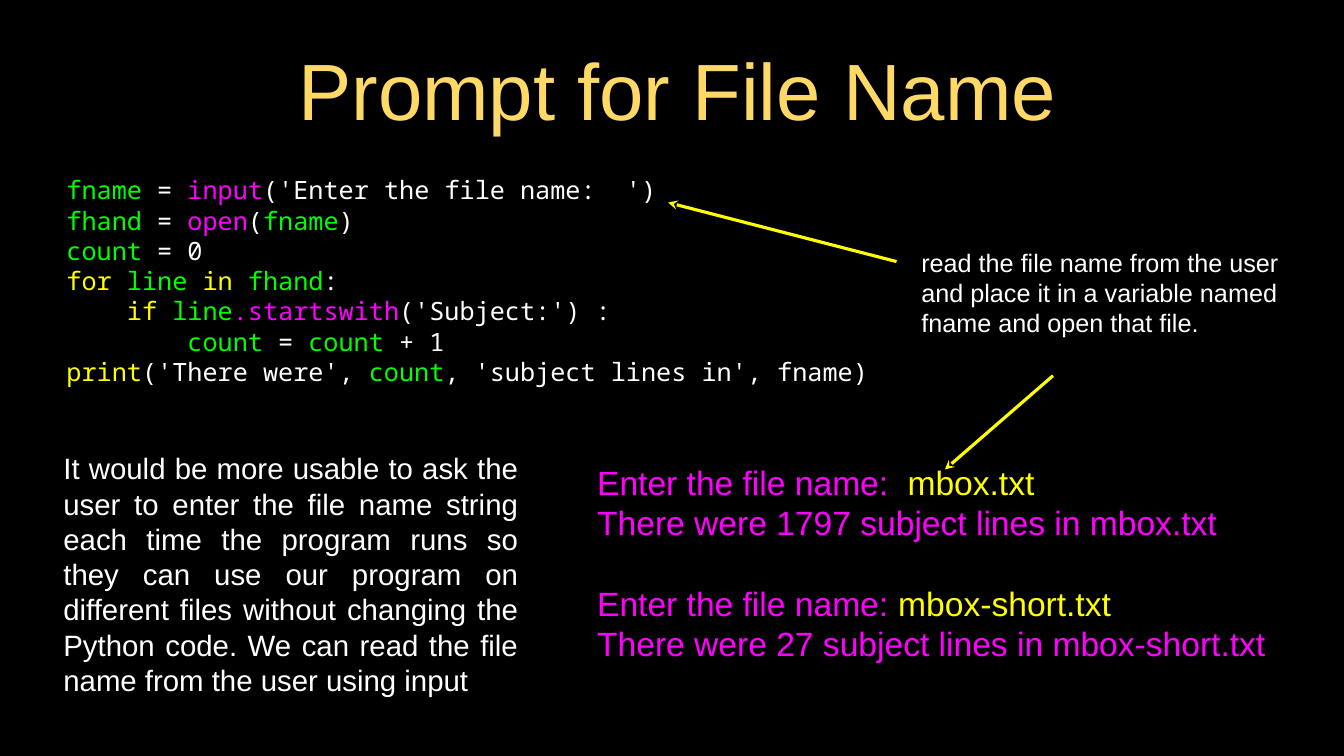
from typing import NamedTuple

from lxml import etree
from pptx import Presentation
from pptx.dml.color import RGBColor
from pptx.enum.shapes import MSO_CONNECTOR
from pptx.enum.text import MSO_ANCHOR, PP_ALIGN
from pptx.oxml.ns import qn
from pptx.util import Inches, Pt

LEFT, CENTER, JUSTIFY = PP_ALIGN.LEFT, PP_ALIGN.CENTER, PP_ALIGN.JUSTIFY
TOP, MIDDLE = MSO_ANCHOR.TOP, MSO_ANCHOR.MIDDLE
STRAIGHT = MSO_CONNECTOR.STRAIGHT

BLACK = RGBColor(0, 0, 0)
WHITE = RGBColor(255, 255, 255)
GOLD = RGBColor(255, 217, 102)
GREEN = RGBColor(0, 255, 0)
PINK = RGBColor(255, 0, 255)
YELLOW = RGBColor(255, 255, 0)

SANS, MONO = "Arial", "Noto Sans Mono"
LEADING = 1.2


class Run(NamedTuple):
    text: str
    color: RGBColor


class Block(NamedTuple):
    box: tuple[float, float, float, float]
    size: int
    lines: list[list[Run]]
    font: str = SANS
    align: PP_ALIGN = LEFT
    anchor: MSO_ANCHOR = MIDDLE
    pad: tuple[float, float] = (0, 0)  # sides, top and bottom
    gaps: tuple[int, ...] = ()  # lines with one line of space before


class Arrow(NamedTuple):
    tip: tuple[float, float]
    tail: tuple[float, float]


TITLE = [[Run("Prompt for File Name", GOLD)]]

CODE = [
    [Run("fname ", GREEN), Run("= ", WHITE), Run("input", PINK),
     Run("('Enter the file name:  ')", WHITE)],
    [Run("fhand", GREEN), Run(" = ", WHITE), Run("open", PINK),
     Run("(", WHITE), Run("fname", GREEN), Run(")", WHITE)],
    [Run("count", GREEN), Run(" = 0", WHITE)],
    [Run("for ", YELLOW), Run("line ", GREEN), Run("in ", YELLOW),
     Run("fhand", GREEN), Run(":", WHITE)],
    [Run("    if ", YELLOW), Run("line", GREEN), Run(".startswith", PINK),
     Run("('Subject:') :", WHITE)],
    [Run("        count", GREEN), Run(" = ", WHITE), Run("count", GREEN),
     Run(" + 1", WHITE)],
    [Run("print", YELLOW), Run("('There were', ", WHITE), Run("count", GREEN),
     Run(", 'subject lines in', fname)", WHITE)],
]

OUTPUT = [
    [Run("Enter the file name:  ", PINK), Run("mbox.txt", YELLOW)],
    [Run("There were 1797 subject lines in mbox.txt", PINK)],
    [Run("Enter the file name: ", PINK), Run("mbox-short.txt", YELLOW)],
    [Run("There were 27 subject lines in mbox-short.txt", PINK)],
]

REASON = [[Run(
    "It would be more usable to ask the user to enter the file name string "
    "each time the program runs so they can use our program on different "
    "files without changing the Python code. We can read the file name from "
    "the user using input", WHITE)]]

NOTE = [[Run(
    "read the file name from the user and place it in a variable named "
    "fname and open that file.", WHITE)]]

BLOCKS = [
    Block((1.56, 0.22, 14.8, 1.91), 76, TITLE, align=CENTER, pad=(0.04, 0.04)),
    Block((0.88, 1.85, 11.14, 3.72), 24, CODE, font=MONO),
    Block((7.9, 5.77, 9.45, 3.34), 32, OUTPUT, gaps=(2,)),
    Block((0.74, 5.91, 6.21, 3.4), 28, REASON, align=JUSTIFY, anchor=TOP,
          pad=(0.1, 0.05)),
    Block((12.09, 3.22, 5.09, 1.31), 24, NOTE, anchor=TOP, pad=(0.1, 0.05)),
]

ARROWS = [
    Arrow((12.5, 6.21), (13.93, 4.97)),
    Arrow((8.84, 2.68), (11.86, 3.46)),
]


def draw_block(slide, block: Block) -> None:
    frame = slide.shapes.add_textbox(*map(Inches, block.box)).text_frame
    side, edge = map(Inches, block.pad)
    style = {
        "word_wrap": True, "vertical_anchor": block.anchor,
        "margin_left": side, "margin_right": side,
        "margin_top": edge, "margin_bottom": edge,
    }
    for name, value in style.items():
        setattr(frame, name, value)

    pitch = Pt(block.size * LEADING)
    for row, line in enumerate(block.lines):
        para = frame.add_paragraph() if row else frame.paragraphs[0]
        para.alignment = block.align
        para.line_spacing = pitch
        if row in block.gaps:
            para.space_before = pitch
        for part in line:
            run = para.add_run()
            run.text = part.text
            run.font.name = block.font
            run.font.size = Pt(block.size)
            run.font.color.rgb = part.color


def draw_arrow(slide, arrow: Arrow) -> None:
    ends = map(Inches, arrow.tip + arrow.tail)
    link = slide.shapes.add_connector(STRAIGHT, *ends)
    link.line.color.rgb = YELLOW
    link.line.width = Pt(3)
    head = etree.SubElement(link.line._get_or_add_ln(), qn("a:headEnd"))
    head.set("type", "stealth")
    etree.SubElement(link._element.spPr, qn("a:effectLst"))


def main() -> None:
    deck = Presentation()
    deck.slide_width, deck.slide_height = Inches(17.78), Inches(10)
    slide = deck.slides.add_slide(deck.slide_layouts[6])
    fill = slide.background.fill
    fill.solid()
    fill.fore_color.rgb = BLACK

    # Title, code, output and remarks
    for block in BLOCKS:
        draw_block(slide, block)

    # Pointers from the note to the code and the output
    for arrow in ARROWS:
        draw_arrow(slide, arrow)

    deck.save("out.pptx")


if __name__ == "__main__":
    main()
